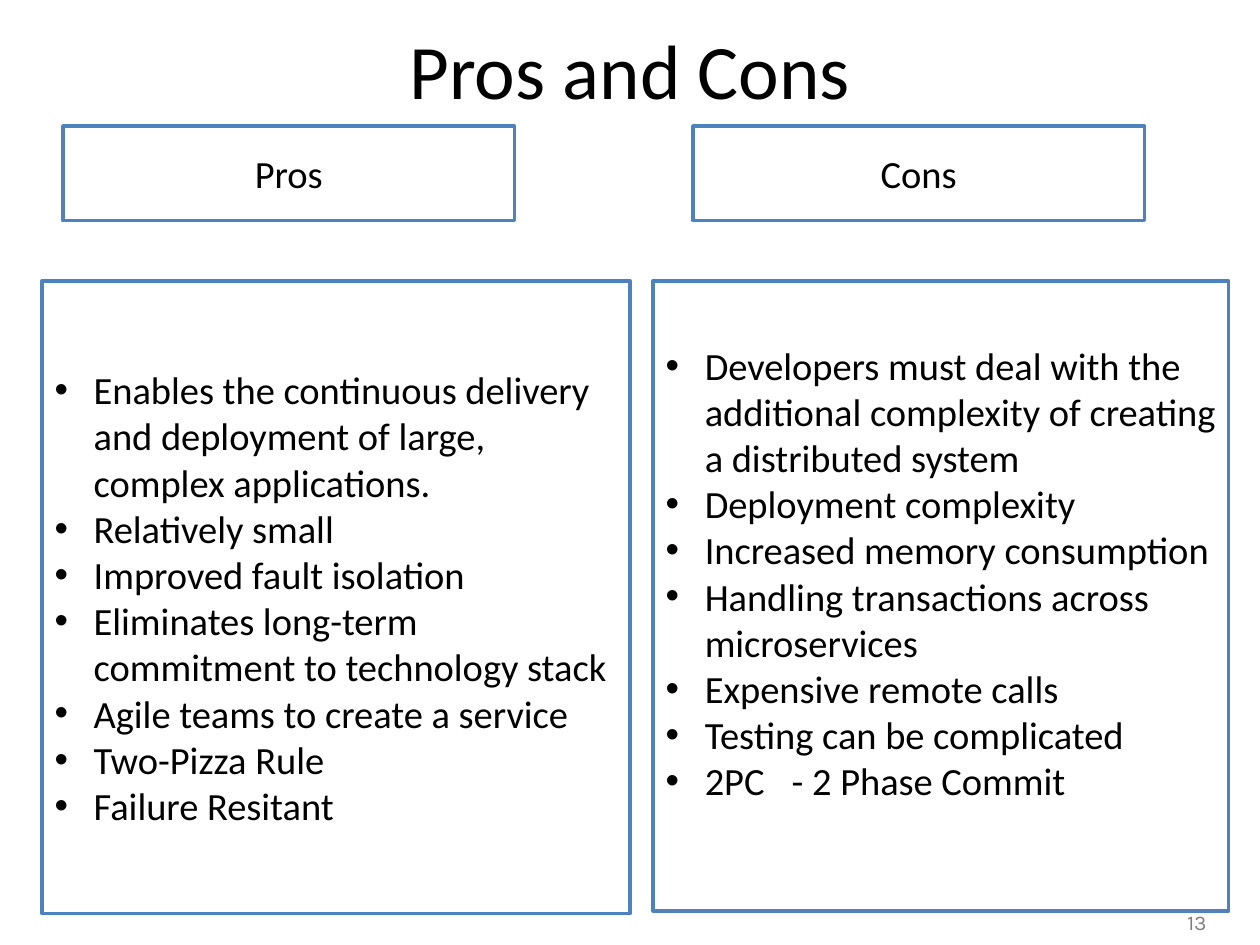
from pptx import Presentation
from pptx.dml.color import RGBColor
from pptx.enum.shapes import MSO_SHAPE
from pptx.enum.text import MSO_ANCHOR, MSO_AUTO_SIZE, PP_ALIGN
from pptx.oxml.ns import qn
from pptx.util import Inches, Pt
from lxml import etree

RECTANGLE = MSO_SHAPE.RECTANGLE
MIDDLE, TOP = MSO_ANCHOR.MIDDLE, MSO_ANCHOR.TOP
NO_FIT = MSO_AUTO_SIZE.NONE
CENTER, LEFT = PP_ALIGN.CENTER, PP_ALIGN.LEFT
COLUMNS, ROWS = 120, 90


def color(hex_text):
    return RGBColor.from_string(hex_text)


class ComparisonSlide:
    font, ink, paper, accent, muted = "Calibri", "000000", "FFFFFF", "4F81BD", "808080"
    text_size = 22

    def __init__(self, deck):
        self.deck = deck
        self.slide = deck.slides.add_slide(deck.slide_layouts[3])

    def place(self, element, column, row, columns, rows):
        unit_x = self.deck.slide_width / COLUMNS
        unit_y = self.deck.slide_height / ROWS
        element.left, element.width = round(column * unit_x), round(columns * unit_x)
        element.top, element.height = round(row * unit_y), round(rows * unit_y)

    def prepare(self, element, anchor=MIDDLE):
        frame = element.text_frame
        frame.word_wrap = True
        frame.auto_size = NO_FIT
        frame.vertical_anchor = anchor
        return frame

    def add_text(self, paragraph, text, size, align, font=None, ink=None):
        paragraph.alignment = align
        run = paragraph.add_run()
        run.text = text
        run.font.name = font or self.font
        run.font.size = Pt(size)
        run.font.color.rgb = color(ink or self.ink)

    def outline(self, element):
        element.fill.solid()
        element.fill.fore_color.rgb = color(self.paper)
        element.line.color.rgb = color(self.accent)
        element.line.width = Pt(2)

    def title(self, text, *cells):
        heading = self.slide.shapes.title
        self.place(heading, *cells)
        self.add_text(self.prepare(heading).paragraphs[0], text, 44, CENTER)

    def header(self, text, *cells):
        box = self.slide.shapes.add_shape(RECTANGLE, 0, 0, 0, 0)
        box.shadow.inherit = False
        self.place(box, *cells)
        self.outline(box)
        self.add_text(self.prepare(box).paragraphs[0], text, self.text_size, CENTER)

    def bullets(self, index, items, *cells, bottom=0.05):
        body = self.slide.placeholders[index]
        self.place(body, *cells)
        self.outline(body)
        frame = self.prepare(body)
        frame.margin_bottom = Inches(bottom)
        for number, item in enumerate(items):
            paragraph = frame.add_paragraph() if number else frame.paragraphs[0]
            properties = paragraph._p.get_or_add_pPr()
            properties.set("marL", str(Inches(0.31)))
            properties.set("indent", str(-Inches(0.31)))
            etree.SubElement(properties, qn("a:buFont")).set("typeface", "Arial")
            etree.SubElement(properties, qn("a:buChar")).set("char", "•")
            paragraph.space_before = Pt(0)
            self.add_text(paragraph, item, self.text_size, LEFT)

    def page_number(self, text, *cells):
        box = self.slide.shapes.add_textbox(0, 0, 0, 0)
        self.place(box, *cells)
        number = self.prepare(box, TOP).paragraphs[0]
        self.add_text(number, text, 12, CENTER, "Karla", self.muted)


def main():
    deck = Presentation()
    deck.slide_width, deck.slide_height = Inches(10), Inches(7.5)
    page = ComparisonSlide(deck)
    page.page_number("13", 111, 86, 6, 3.6)
    page.title("Pros and Cons", 6, -1, 108, 15)
    for text, column in (("Pros", 6), ("Cons", 66)):
        page.header(text, column, 12, 43, 9)
    page.bullets(1, [
        "Enables the continuous delivery and deployment of large, complex applications.",
        "Relatively small",
        "Improved fault isolation",
        "Eliminates long-term commitment to technology stack",
        "Agile teams to create a service",
        "Two-Pizza Rule",
        "Failure Resitant",
    ], 4, 26.75, 56, 60.25)
    page.bullets(2, [
        "Developers must deal with the additional complexity of creating a distributed system",
        "Deployment complexity",
        "Increased memory consumption",
        "Handling transactions across microservices",
        "Expensive remote calls",
        "Testing can be complicated",
        "2PC\t- 2 Phase Commit",
    ], 62.2, 26.75, 54.8, 60, bottom=0.42)
    deck.save("out.pptx")


if __name__ == "__main__":
    main()
